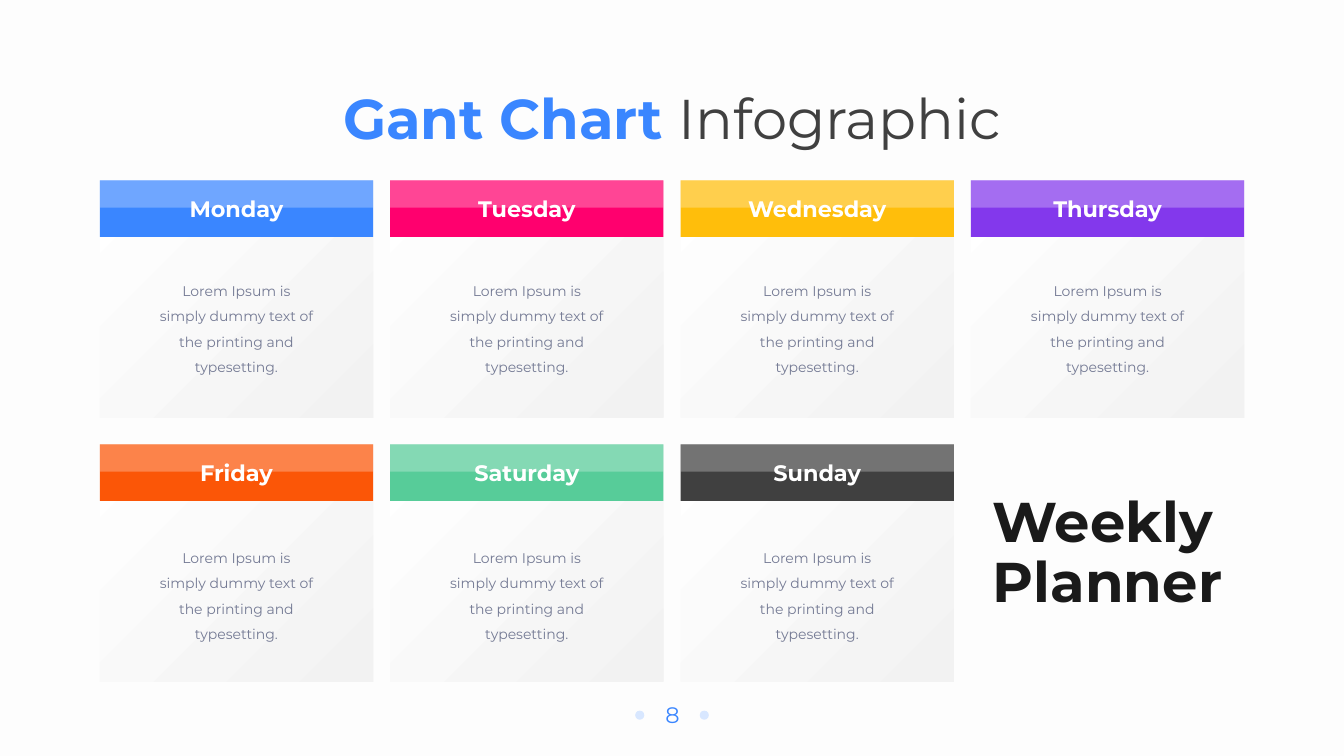
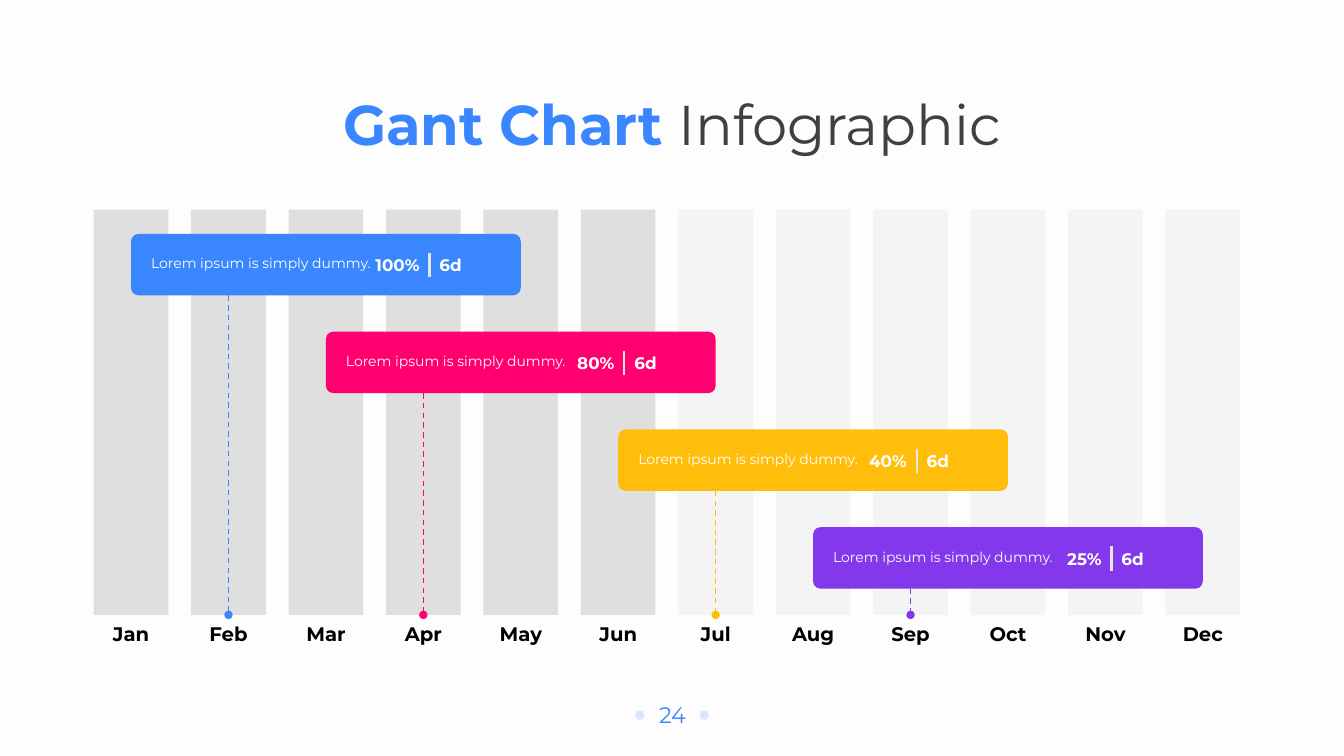
from dataclasses import dataclass

from lxml.etree import SubElement
from pptx import Presentation
from pptx.dml.color import RGBColor
from pptx.enum.dml import MSO_LINE_DASH_STYLE as Dash
from pptx.enum.shapes import MSO_CONNECTOR as Connector, MSO_SHAPE as Shape
from pptx.enum.text import MSO_ANCHOR as Anchor, MSO_AUTO_SIZE as AutoSize, PP_ALIGN as Align
from pptx.oxml.ns import qn
from pptx.util import Inches, Pt


@dataclass(frozen=True)
class Theme:
    font: str = "Montserrat"
    background: str = "FDFDFD"
    blue: str = "3A86FF"
    pink: str = "FF006E"
    yellow: str = "FFBE0B"
    purple: str = "8338EC"
    orange: str = "FB5607"
    green: str = "57CC99"
    dark: str = "404040"
    heading: str = "1A1A1A"
    black: str = "000000"
    white: str = "FFFFFF"
    note: str = "747A94"
    card_shade: str = "F2F2F2"
    footer_dot: str = "D8E7FF"
    divider: str = "E7E6E6"
    past_month: str = "C5C3C3"
    coming_month: str = "DCDADA"
    title_size: int = 40
    label_size: int = 16
    month_size: int = 14
    figure_size: int = 12
    note_size: int = 10


THEME = Theme()

# Weekly planner
CARD_LEFT, CARD_PITCH, CARD_WIDTH, CARD_HEIGHT = 0.99, 2.88, 2.71, 2.35
HEADER_HEIGHT, GLOSS_HEIGHT = 0.56, 0.27
NOTE_WIDTH = 1.76
DAY_NOTE = "Lorem Ipsum is simply dummy text of the printing and typesetting."
# Card top, note top, days
WEEK_ROWS = (
    (1.79, 2.67, (("Monday", THEME.blue), ("Tuesday", THEME.pink),
                  ("Wednesday", THEME.yellow), ("Thursday", THEME.purple))),
    (4.41, 5.32, (("Friday", THEME.orange), ("Saturday", THEME.green),
                  ("Sunday", THEME.dark))),
)

# Year plan
MONTHS = ("Jan", "Feb", "Mar", "Apr", "May", "Jun",
          "Jul", "Aug", "Sep", "Oct", "Nov", "Dec")
PAST_MONTHS = 6
MONTH_LEFT, LAST_MONTH_LEFT, MONTH_WIDTH = 0.93, 11.56, 0.74
MONTH_PITCH = (LAST_MONTH_LEFT - MONTH_LEFT) / (len(MONTHS) - 1)
MONTH_TOP, MONTH_BOTTOM = 2.08, 6.1
TASK_TOP, TASK_PITCH, TASK_HEIGHT, TASK_MONTHS = 2.32, 0.97, 0.61, 4
DIVIDER_OFFSET, FIGURE_WIDTH = 2.96, 0.71
TASK_NOTE = "Lorem ipsum is simply dummy."
# Starting month, progress, colour
TASKS = (("Jan", "100%", THEME.blue), ("Mar", "80%", THEME.pink),
         ("Jun", "40%", THEME.yellow), ("Aug", "25%", THEME.purple))


def rgb(color):
    return RGBColor.from_string(color)


def style_font(font, size, color, bold=False):
    font.name = THEME.font
    font.size = Pt(size)
    font.bold = bold
    font.color.rgb = rgb(color)


def add_box(slide, kind, left, top, width, height, color, opacity=None):
    """Add a borderless shape; opacity is a percentage."""
    shape = slide.shapes.add_shape(
        kind, Inches(left), Inches(top), Inches(width), Inches(height))
    shape.shadow.inherit = False
    shape.line.fill.background()
    shape.fill.solid()
    shape.fill.fore_color.rgb = rgb(color)
    if opacity is not None:
        color_element = shape.fill._xPr.find(".//" + qn("a:srgbClr"))
        SubElement(color_element, qn("a:alpha"), val=str(opacity * 1000))
    return shape


def add_text(slide, text, left, top, width, height, size, color, bold=False,
             align=Align.CENTER, spacing=None, inset=True):
    box = slide.shapes.add_textbox(
        Inches(left), Inches(top), Inches(width), Inches(height))
    frame = box.text_frame
    frame.word_wrap = True
    if not inset:
        frame.margin_left = frame.margin_right = 0
        frame.margin_top = frame.margin_bottom = 0
    frame.text = text
    paragraph = frame.paragraphs[0]
    paragraph.alignment = align
    paragraph.line_spacing = spacing
    style_font(paragraph.runs[0].font, size, color, bold)
    return box


def add_vertical_line(slide, x, top, bottom, color, width):
    line = slide.shapes.add_connector(
        Connector.STRAIGHT, Inches(x), Inches(top), Inches(x), Inches(bottom))
    line.line.color.rgb = rgb(color)
    line.line.width = Pt(width)
    SubElement(line._element.spPr, qn("a:effectLst"))
    return line


def add_pin(slide, x, top, bottom, color):
    """Add a dashed line that ends in a dot."""
    pin = add_vertical_line(slide, x, top, bottom, color, 1)
    pin.line.dash_style = Dash.DASH
    SubElement(pin.line._get_or_add_ln(), qn("a:tailEnd"), type="oval")


def add_title(slide, top):
    title = slide.shapes.title
    title.left, title.top = Inches(3.25), Inches(top)
    title.width, title.height = Inches(6.83), Inches(0.77)
    frame = title.text_frame
    frame.auto_size = AutoSize.NONE
    paragraph = frame.paragraphs[0]
    paragraph.alignment = Align.CENTER
    for text, color, bold in (("Gant Chart ", THEME.blue, True),
                              ("Infographic", THEME.dark, False)):
        run = paragraph.add_run()
        run.text = text
        style_font(run.font, THEME.title_size, color, bold)


def add_footer(slide, number):
    add_text(slide, str(number), 6.36, 6.91, 0.62, 0.37,
             THEME.label_size, THEME.blue)
    for left in (6.3, 6.94):
        add_box(slide, Shape.OVAL, left, 7.05, 0.09, 0.09, THEME.footer_dot)


def add_base_slide(presentation, title_top, number):
    slide = presentation.slides.add_slide(
        presentation.slide_layouts.get_by_name("Title Only"))
    add_title(slide, title_top)
    add_footer(slide, number)
    return slide


def add_day_card(slide, day, color, left, top, note_top):
    card = add_box(slide, Shape.RECTANGLE, left, top,
                   CARD_WIDTH, CARD_HEIGHT, THEME.white)
    card.fill.gradient()
    card.fill.gradient_angle = 315
    for stop, shade in zip(card.fill.gradient_stops,
                           (THEME.white, THEME.card_shade)):
        stop.color.rgb = rgb(shade)
    add_box(slide, Shape.RECTANGLE, left, top, CARD_WIDTH, HEADER_HEIGHT, color)
    add_box(slide, Shape.RECTANGLE, left, top, CARD_WIDTH, GLOSS_HEIGHT,
            THEME.white, opacity=27)
    add_text(slide, day, left, top + 0.15, CARD_WIDTH, 0.27,
             THEME.label_size, THEME.white, bold=True, inset=False)
    add_text(slide, DAY_NOTE, left + (CARD_WIDTH - NOTE_WIDTH) / 2, note_top,
             NOTE_WIDTH, 1.08, THEME.note_size, THEME.note, spacing=1.5)


def build_weekly_planner(presentation):
    slide = add_base_slide(presentation, 0.78, 8)
    for top, note_top, days in WEEK_ROWS:
        for column, (day, color) in enumerate(days):
            add_day_card(slide, day, color, CARD_LEFT + column * CARD_PITCH,
                         top, note_top)
    heading = add_text(slide, "Weekly Planner", 9.75, 4.73, 2.6, 1.42,
                       THEME.title_size, THEME.heading, bold=True,
                       align=Align.LEFT, spacing=0.9)
    heading.text_frame.vertical_anchor = Anchor.BOTTOM


def month_center(index):
    return MONTH_LEFT + index * MONTH_PITCH + MONTH_WIDTH / 2


def add_month(slide, index, name):
    color, opacity = ((THEME.past_month, 50) if index < PAST_MONTHS
                      else (THEME.coming_month, 25))
    center = month_center(index)
    add_box(slide, Shape.RECTANGLE, center - MONTH_WIDTH / 2, MONTH_TOP,
            MONTH_WIDTH, MONTH_BOTTOM - MONTH_TOP, color, opacity)
    add_text(slide, name, center - MONTH_PITCH / 2, 6.12, MONTH_PITCH, 0.34,
             THEME.month_size, THEME.black, bold=True)


def add_task(slide, row, month, progress, color):
    start = MONTHS.index(month)
    left = month_center(start)
    top = TASK_TOP + row * TASK_PITCH
    add_pin(slide, month_center(start + 1), top + TASK_HEIGHT,
            MONTH_BOTTOM, color)
    bar = add_box(slide, Shape.ROUNDED_RECTANGLE, left, top,
                  TASK_MONTHS * MONTH_PITCH, TASK_HEIGHT, color)
    bar.adjustments[0] = 0.12

    text_top = top + 0.16
    add_text(slide, TASK_NOTE, left + 0.1, text_top, 2.58, 0.28,
             THEME.note_size, THEME.white, align=Align.LEFT)
    divider = left + DIVIDER_OFFSET
    for text, text_left, align in (
            (progress, divider - FIGURE_WIDTH, Align.RIGHT),
            ("6d", divider, Align.LEFT)):
        add_text(slide, text, text_left, text_top, FIGURE_WIDTH, 0.3,
                 THEME.figure_size, THEME.white, bold=True, align=align)
    add_vertical_line(slide, divider, top + 0.19, top + 0.43,
                      THEME.divider, 1.5)


def build_year_plan(presentation):
    slide = add_base_slide(presentation, 0.84, 24)
    for index, name in enumerate(MONTHS):
        add_month(slide, index, name)
    for row, task in enumerate(TASKS):
        add_task(slide, row, *task)


def main():
    presentation = Presentation()
    presentation.slide_width = Inches(13.33)
    presentation.slide_height = Inches(7.5)
    background = presentation.slide_master.background.fill
    background.solid()
    background.fore_color.rgb = rgb(THEME.background)
    build_weekly_planner(presentation)
    build_year_plan(presentation)
    presentation.save("out.pptx")


if __name__ == "__main__":
    main()
